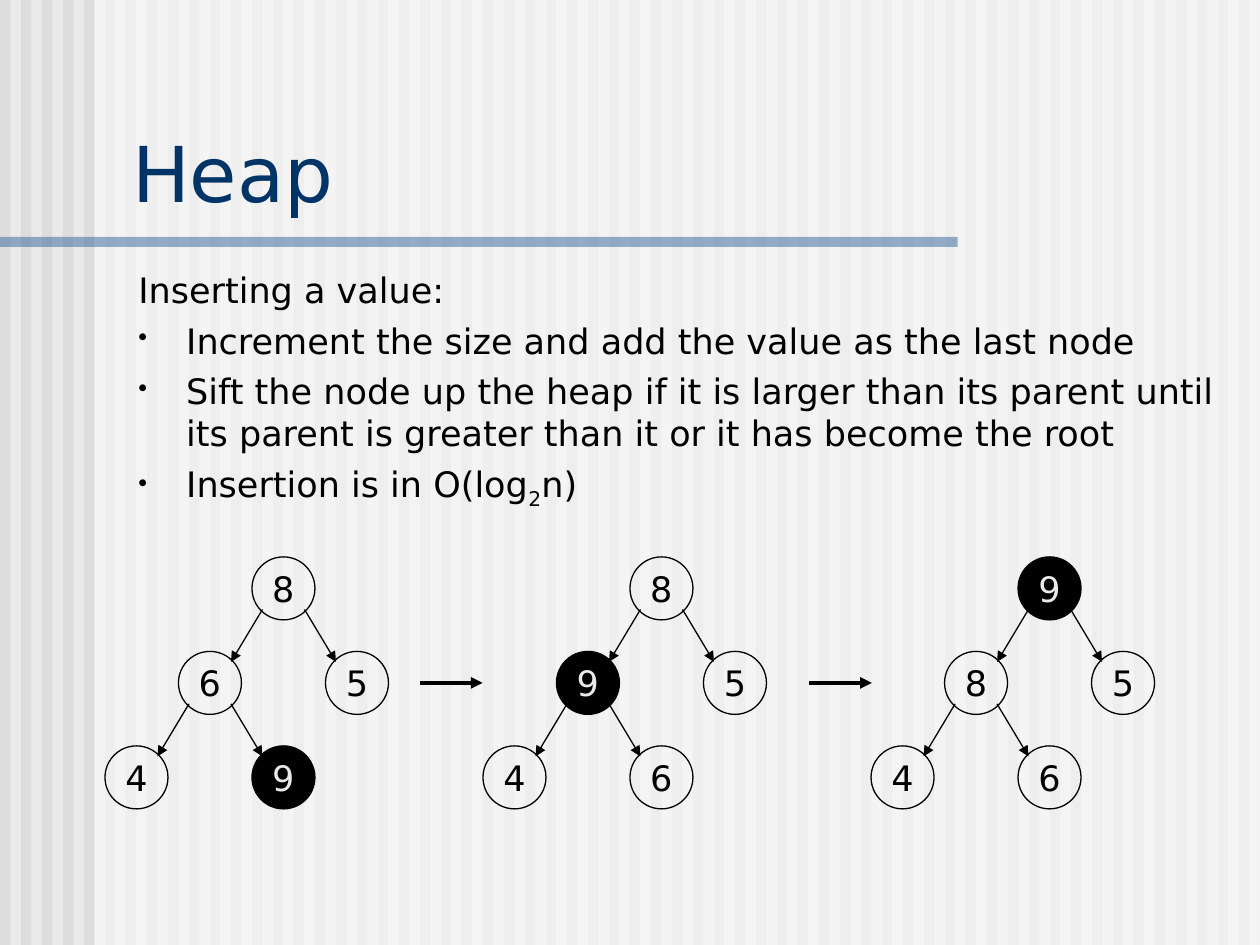
from lxml.etree import SubElement
from pptx import Presentation
from pptx.dml.color import RGBColor
from pptx.enum.shapes import MSO_CONNECTOR, MSO_SHAPE
from pptx.enum.text import MSO_ANCHOR, PP_ALIGN
from pptx.oxml.ns import qn
from pptx.util import Inches, Pt

FONT = "DejaVu Sans"
BLACK = RGBColor(0x00, 0x00, 0x00)
WHITE = RGBColor(0xFF, 0xFF, 0xFF)
PALE = RGBColor(0xEA, 0xEA, 0xEA)
STRIPE = RGBColor(0xDD, 0xDD, 0xDD)
NAVY = RGBColor(0x00, 0x33, 0x66)
BLUE = RGBColor(0x33, 0x66, 0x99)

NODE_SIZE = 0.5
CHILD_SHIFT = 7 / 12  # sideways step from parent to child
LEVEL_STEP = 0.75
EDGE_INSET = 1 / 12  # where an edge meets a node's box


def set_format(target, formats):
    for name, value in formats.items():
        setattr(target, name, value)


def add_span(para, text, size, color):
    span = para.add_run()
    span.text = text
    set_format(span.font, {"name": FONT, "size": Pt(size)})
    span.font.color.rgb = color
    return span


def add_band(page, left, top, width, height, color, alpha=None):
    band = page.shapes.add_shape(MSO_SHAPE.RECTANGLE, Inches(left), Inches(top),
                                 Inches(width), Inches(height))
    band.shadow.inherit = False
    band.fill.solid()
    band.fill.fore_color.rgb = color
    band.line.fill.background()
    if alpha is not None:
        paint = band.fill._xPr.find(qn("a:solidFill"))[0]
        SubElement(paint, qn("a:alpha"), val=str(alpha * 1000))


def add_arrow(page, start, end, weight):
    arrow = page.shapes.add_connector(
        MSO_CONNECTOR.STRAIGHT, *[Inches(value) for value in (*start, *end)])
    arrow.line.color.rgb = BLACK
    arrow.line.width = Pt(weight)
    SubElement(arrow.line._get_or_add_ln(), qn("a:tailEnd"), type="triangle")
    SubElement(arrow._element.spPr, qn("a:effectLst"))


def add_backdrop(page, width, height):
    page.background.fill.solid()
    page.background.fill.fore_color.rgb = PALE
    # Stripes across the page, softened by a veil right of the margin
    for index in range(int(width * 6)):
        add_band(page, index / 6, 0, 1 / 12, height, STRIPE)
    add_band(page, 0.75, 0, width - 0.75, height, WHITE, alpha=50)
    # Rule under the title
    add_band(page, 0, 1.88, 7.6, 0.08, BLUE, alpha=50)


def add_text_box(page, left, top, width, height, anchor):
    box = page.shapes.add_textbox(Inches(left), Inches(top),
                                  Inches(width), Inches(height))
    set_format(box.text_frame, {"word_wrap": True, "vertical_anchor": anchor})
    return box.text_frame


def add_title(page, left, top, width, height):
    frame = add_text_box(page, left, top, width, height, MSO_ANCHOR.BOTTOM)
    add_span(frame.paragraphs[0], "Heap", 44, NAVY)


def add_bullet(para):
    props = para._p.get_or_add_pPr()
    props.set("marL", str(Inches(0.38)))
    props.set("indent", str(Inches(-0.38)))
    SubElement(props, qn("a:buSzPct"), val="75000")
    SubElement(props, qn("a:buChar"), char="•")


def add_body(page, left, top, width, height):
    frame = add_text_box(page, left, top, width, height, MSO_ANCHOR.TOP)
    add_span(frame.paragraphs[0], "Inserting a value:", 20, BLACK)
    points = [
        ["Increment the size and add the value as the last node"],
        ["Sift the node up the heap if it is larger than its parent until "
         "its parent is greater than it or it has become the root"],
        ["Insertion is in O(log", "2", "n)"],
    ]
    for texts in points:
        para = frame.add_paragraph()
        para.space_before = Pt(5)
        add_bullet(para)
        for position, text in enumerate(texts):
            span = add_span(para, text, 20, BLACK)
            if position == 1:  # subscript base of the logarithm
                span.font._element.set("baseline", "-25000")


def add_node(page, left, top, value, highlighted):
    node = page.shapes.add_shape(MSO_SHAPE.OVAL, Inches(left), Inches(top),
                                 Inches(NODE_SIZE), Inches(NODE_SIZE))
    node.shadow.inherit = False
    if highlighted:
        node.fill.solid()
        node.fill.fore_color.rgb = BLACK
    else:
        node.fill.background()
    node.line.color.rgb = BLACK
    node.line.width = Pt(0.75)
    set_format(node.text_frame, {"word_wrap": False,
                                 "vertical_anchor": MSO_ANCHOR.MIDDLE})
    para = node.text_frame.paragraphs[0]
    para.alignment = PP_ALIGN.CENTER
    add_span(para, str(value), 20, PALE if highlighted else BLACK)


def add_heap(page, left, top, values, inserted=9):
    """Draw values in heap order; left and top are those of the root."""
    corners = []
    for index, value in enumerate(values):
        if index == 0:
            x, y = left, top
        else:
            parent_x, parent_y = corners[(index - 1) // 2]
            side = -1 if index % 2 else 1
            x, y = parent_x + side * CHILD_SHIFT, parent_y + LEVEL_STEP
            half = NODE_SIZE / 2
            reach = side * (half - EDGE_INSET)
            add_arrow(page,
                      (parent_x + half + reach, parent_y + NODE_SIZE - EDGE_INSET),
                      (x + half - reach, y + EDGE_INSET), 0.75)
        corners.append((x, y))
        add_node(page, x, y, value, value == inserted)


def main():
    deck = Presentation()
    deck.slide_width, deck.slide_height = Inches(10), Inches(7.5)
    page = deck.slides.add_slide(deck.slide_layouts[6])

    add_backdrop(page, 10, 7.5)
    add_title(page, 0.95, 0.94, 8.93, 0.84)
    add_body(page, 1, 2.08, 8.87, 4.58)

    # Sifting the new value up, one heap per step
    steps = [(2, [8, 6, 5, 4, 9]), (5, [8, 9, 5, 4, 6]), (8.08, [9, 8, 5, 4, 6])]
    for left, values in steps:
        add_heap(page, left, 4.42, values)
    for left in (3.33, 6.42):
        add_arrow(page, (left, 5.42), (left + 0.5, 5.42), 2.25)

    deck.save("out.pptx")


if __name__ == "__main__":
    main()
